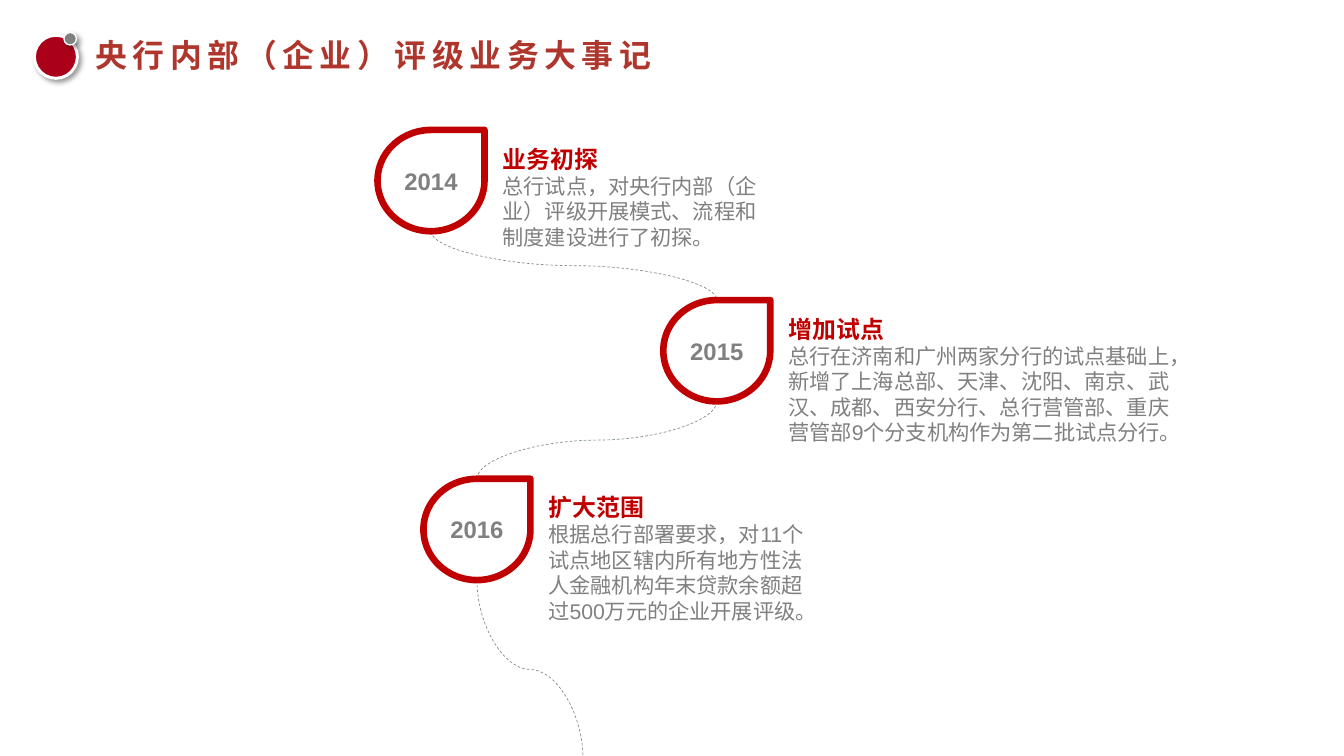
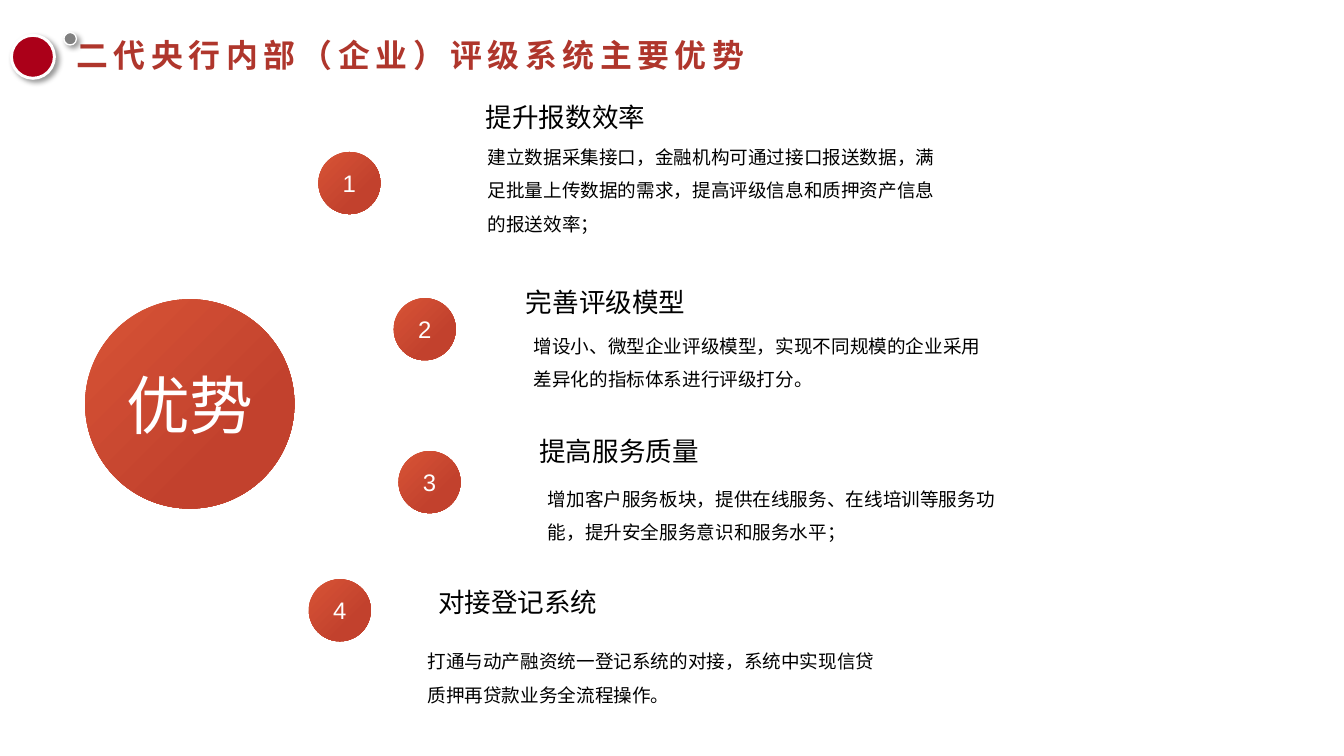
"""Build two slides on central bank internal ratings: a timeline and the system's strengths."""
from dataclasses import dataclass

from lxml.etree import SubElement
from pptx import Presentation
from pptx.dml.color import RGBColor as Rgb
from pptx.enum.dml import MSO_LINE as Dash
from pptx.enum.shapes import MSO_CONNECTOR as Link, MSO_SHAPE as Form
from pptx.enum.text import MSO_ANCHOR as Anchor, MSO_AUTO_SIZE as Fit, PP_ALIGN as Align
from pptx.oxml.ns import qn
from pptx.shapes.autoshape import Shape
from pptx.slide import Slide
from pptx.text.text import TextFrame as Frame
from pptx.util import Pt


@dataclass(frozen=True)
class Theme:
    red: str = "C00000"
    brick: str = "AF362C"
    ruby: str = "AB0019"
    light: str = "D75436"
    deep: str = "C2412D"
    gray: str = "808080"
    slate: str = "7F8C8D"
    black: str = "000000"
    white: str = "FFFFFF"
    latin: str = "Arial"
    asian: str = "Noto Sans CJK SC"
    title: float = 24
    giant: float = 48
    head: float = 20
    year: float = 18
    body: float = 16
    note: float = 14


@dataclass(frozen=True)
class Box:
    left: float
    top: float
    width: float
    height: float

    def pts(self) -> tuple[Pt, Pt, Pt, Pt]:
        return Pt(self.left), Pt(self.top), Pt(self.width), Pt(self.height)


@dataclass(frozen=True)
class Event:
    year: str
    left: float
    top: float
    width: float
    head: str
    body: str


@dataclass(frozen=True)
class Merit:
    ball: tuple[float, float]
    spot: tuple[float, float]
    head: str
    place: tuple[float, float]
    lines: int
    body: str


T = Theme()
DROP_W, DROP_H = 80.6, 76.3
BALL = 46.8
TAIL = (439.2, 571.7)

EVENTS = [
    Event("2014", 284.4, 97.9, 219.6, "业务初探",
          "总行试点，对央行内部（企业）评级开展模式、流程和制度建设进行了初探。"),
    Event("2015", 499.7, 226.1, 310.3, "增加试点",
          "总行在济南和广州两家分行的试点基础上，新增了上海总部、天津、沈阳、南京、武汉、成都、"
          "西安分行、总行营管部、重庆营管部9个分支机构作为第二批试点分行。"),
    Event("2016", 319, 360.7, 219.6, "扩大范围",
          "根据总行部署要求，对11个试点地区辖内所有地方性法人金融机构年末贷款余额超过500万元的企业开展评级。"),
]

MERITS = [
    Merit((239.8, 114.5), (356.4, 71.3), "提升报数效率", (357.8, 96.5), 3,
          "建立数据采集接口，金融机构可通过接口报送数据，满足批量上传数据的需求，"
          "提高评级信息和质押资产信息的报送效率；"),
    Merit((296.6, 224.6), (386.6, 211), "完善评级模型", (392.4, 239), 2,
          "增设小、微型企业评级模型，实现不同规模的企业采用差异化的指标体系进行评级打分。"),
    Merit((300.2, 339.8), (396.7, 322.6), "提高服务质量", (403.2, 354.2), 2,
          "增加客户服务板块，提供在线服务、在线培训等服务功能，提升安全服务意识和服务水平；"),
    Merit((232.6, 436.3), (320.4, 436.3), "对接登记系统", (312.5, 476.6), 2,
          "打通与动产融资统一登记系统的对接，系统中实现信贷质押再贷款业务全流程操作。"),
]


def write(frame: Frame, text: str, size: float, color: str, bold: bool = False,
          font: str = T.latin, first: bool = True):
    para = frame.paragraphs[0] if first else frame.add_paragraph()
    run = para.add_run()
    run.text = text
    run.font.size, run.font.bold, run.font.name = Pt(size), bold, font
    run.font.color.rgb = Rgb.from_string(color)
    SubElement(run.font._element, qn("a:ea")).set("typeface", T.asian)
    return para


def inset(frame: Frame, across: float, down: float) -> None:
    frame.margin_left = frame.margin_right = Pt(across)
    frame.margin_top = frame.margin_bottom = Pt(down)


def label(slide: Slide, box: Box, wrap: bool = True) -> Frame:
    frame = slide.shapes.add_textbox(*box.pts()).text_frame
    frame.word_wrap, frame.auto_size = wrap, Fit.SHAPE_TO_FIT_TEXT
    return frame


def shape(slide: Slide, form: Form, box: Box, fill: str = "", line: str = "",
          weight: float = 0) -> Shape:
    item = slide.shapes.add_shape(form, *box.pts())
    if fill:
        item.fill.solid()
        item.fill.fore_color.rgb = Rgb.from_string(fill)
    if line:
        item.line.color.rgb = Rgb.from_string(line)
        item.line.width = Pt(weight)
    else:
        item.line.fill.background()
    item.shadow.inherit = False
    return item


def center(item: Shape, text: str, size: float, color: str, bold: bool = False) -> None:
    frame = item.text_frame
    frame.vertical_anchor = Anchor.MIDDLE
    write(frame, text, size, color, bold).alignment = Align.CENTER


def shade(item: Shape) -> None:
    effects = item._element.spPr.find(qn("a:effectLst"))
    outer = SubElement(effects, qn("a:outerShdw"))
    for key, value in (("blurRad", Pt(4)), ("dist", Pt(3)), ("dir", 45 * 60000)):
        outer.set(key, str(int(value)))
    outer.set("algn", "tl")
    outer.set("rotWithShape", "0")
    color = SubElement(outer, qn("a:srgbClr"))
    color.set("val", T.black)
    SubElement(color, qn("a:alpha")).set("val", "40000")


def start(deck: Presentation, text: str, left: float, width: float, badge: float) -> Slide:
    slide = deck.slides.add_slide(deck.slide_layouts[5])
    title = slide.shapes.title
    title.left, title.top, title.width, title.height = Box(left, 26.6, width, 28.8).pts()
    frame = title.text_frame
    frame.word_wrap, frame.auto_size = True, Fit.NONE
    frame.vertical_anchor = Anchor.TOP
    inset(frame, 0, 0)
    para = write(frame, text, T.title, T.brick, True, T.asian)
    para.alignment = Align.LEFT
    para.runs[0].font._element.set("spc", "420")
    shade(shape(slide, Form.OVAL, Box(badge, 26.6, 32.4, 32.4), T.ruby, T.white, 2.25))
    shade(shape(slide, Form.OVAL, Box(48.2, 24.5, 9.4, 9.4), T.gray, T.white, 1))
    return slide


def curve(slide: Slide, head: tuple[float, float], tail: tuple[float, float]) -> None:
    (x1, y1), (x2, y2) = head, tail
    mid_x, mid_y = (x1 + x2) / 2, (y1 + y2) / 2
    side = 1 if x2 > x1 else -1
    half_w, half_h = side * (y2 - y1) / 2, abs(x2 - x1) / 2
    link = slide.shapes.add_connector(
        Link.CURVE, Pt(mid_x + half_w), Pt(mid_y - half_h),
        Pt(mid_x - half_w), Pt(mid_y + half_h))
    link.line.color.rgb = Rgb.from_string(T.slate)
    link.line.width, link.line.dash_style = Pt(0.5), Dash.DASH
    props = link._element.spPr
    props.find(qn("a:xfrm")).set("rot", str((180 + 90 * side) * 60000))
    SubElement(props, qn("a:effectLst"))


def draw_time(deck: Presentation) -> None:
    slide = start(deck, "央行内部（企业）评级业务大事记", 72, 508.3, 25.9)
    tops = [(event.left + DROP_W / 2, event.top) for event in EVENTS]
    for (x, y), goal in zip(tops, tops[1:] + [TAIL]):
        curve(slide, (x, y + DROP_H), goal)
    for event in EVENTS:
        drop = shape(slide, Form.TEAR, Box(event.left, event.top, DROP_W, DROP_H),
                     T.white, T.red, 5)
        center(drop, event.year, T.year, T.gray, True)
        frame = label(slide, Box(event.left + 87.1, event.top + 7.2, event.width, 106.6))
        write(frame, event.head, T.year, T.red, True)
        write(frame, event.body, T.body, T.gray, first=False)


def ball(slide: Slide, left: float, top: float, size: float, text: str, font: float) -> None:
    item = shape(slide, Form.OVAL, Box(left, top, size, size))
    item.fill.gradient()
    item.fill.gradient_angle = 315
    for stop, color, place in zip(item.fill.gradient_stops, (T.light, T.deep), (0, 0.7)):
        stop.color.rgb = Rgb.from_string(color)
        stop.position = place
    center(item, text, font, T.white)


def draw_gains(deck: Presentation) -> None:
    slide = start(deck, "二代央行内部（企业）评级系统主要优势", 57.6, 645.1, 8.6)
    ball(slide, 64.1, 225.4, 157.7, "优势", T.giant)
    for count, merit in enumerate(MERITS, 1):
        ball(slide, *merit.ball, BALL, str(count), T.year)
        head = label(slide, Box(*merit.spot, 140.4, 33.8), False)
        inset(head, 9.6, 4.8)
        write(head, merit.head, T.head, T.black, font=T.asian)
        body = label(slide, Box(*merit.place, 357.8, 10 + 25.2 * merit.lines))
        inset(body, 9.6, 4.8)
        para = write(body, merit.body, T.note, T.black, font=T.asian)
        para.line_spacing, para.space_before = 1.5, Pt(2.8)


def main() -> None:
    deck = Presentation()
    deck.slide_width, deck.slide_height = Pt(1012.5), Pt(569.5)
    draw_time(deck)
    draw_gains(deck)
    deck.save("out.pptx")


if __name__ == "__main__":
    main()
